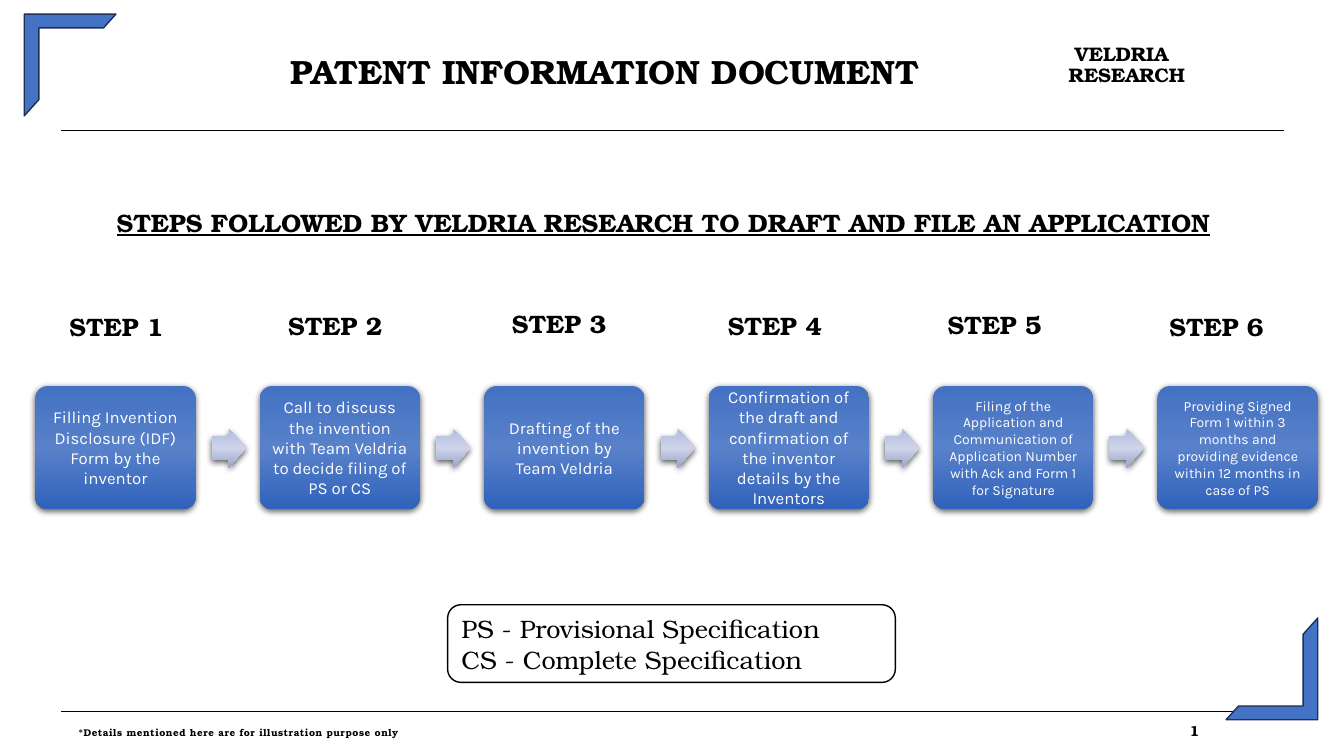
from dataclasses import dataclass

from lxml import etree
from pptx import Presentation
from pptx.dml.color import RGBColor
from pptx.enum.shapes import MSO_CONNECTOR, MSO_SHAPE as SHAPE
from pptx.enum.text import MSO_ANCHOR as ANCHOR, PP_ALIGN as ALIGN
from pptx.oxml import parse_xml
from pptx.oxml.ns import nsdecls, qn
from pptx.util import Inches, Pt

BLACK = RGBColor(0x00, 0x00, 0x00)
WHITE = RGBColor(0xFF, 0xFF, 0xFF)
BLUE = RGBColor(0x44, 0x72, 0xC4)
NAVY = RGBColor(0x1D, 0x31, 0x55)
BOX_STOPS = (RGBColor(0x44, 0x71, 0xC2), RGBColor(0x58, 0x81, 0xCA), RGBColor(0x30, 0x62, 0xBB))
ARROW_STOPS = (RGBColor(0xB1, 0xBB, 0xDB), RGBColor(0xCD, 0xD4, 0xEA), RGBColor(0x98, 0xA4, 0xCB))
SERIF, SANS = "TeX Gyre Bonum", "Karla"

FIRST_LEFT, LAST_LEFT = 0.35, 11.48
BOX_TOP, BOX_W, BOX_H = 3.83, 1.59, 1.22
ARROW_OFFSET, ARROW_TOP, ARROW_W, ARROW_H = 1.75, 4.25, 0.34, 0.39


@dataclass
class Step:
    text: str
    label_left: float
    label_top: float
    size: float = 12
    inset: float = 0.08


STEPS = [
    Step("Filling Invention Disclosure (IDF) Form by the inventor", 0.59, 3.04),
    Step("Call to discuss the invention with Team Veldria to decide filing of PS or CS", 2.76, 3.03),
    Step("Drafting of the invention by Team Veldria", 4.98, 3.01),
    Step("Confirmation of the draft and confirmation of the inventor details by the Inventors", 7.12, 3.03),
    Step("Filing of the Application and Communication of Application Number with Ack and Form 1 "
         "for Signature", 9.3, 3.02, 10, 0.07),
    Step("Providing Signed Form 1 within 3 months and providing evidence within 12 months in case of PS",
         11.5, 3.04, 10, 0.07),
]


def add_run(p, text: str, size: float, font: str = SERIF, color: RGBColor = BLACK, bold: bool = True):
    r = p.add_run()
    r.text = text
    r.font.size, r.font.name, r.font.bold = Pt(size), font, bold
    r.font.color.rgb = color
    return r


def set_frame(shape, x_inset: float = 0, y_inset: float = 0, anchor: ANCHOR = ANCHOR.TOP):
    tf = shape.text_frame
    tf.word_wrap = True
    tf.margin_left = tf.margin_right = Inches(x_inset)
    tf.margin_top = tf.margin_bottom = Inches(y_inset)
    tf.vertical_anchor = anchor
    return tf


def add_text(s, left: float, top: float, width: float, height: float,
             x_inset: float = 0.1, y_inset: float = 0.05):
    sp = s.shapes.add_textbox(Inches(left), Inches(top), Inches(width), Inches(height))
    return set_frame(sp, x_inset, y_inset)


def add_shape(s, kind: SHAPE, left: float, top: float, width: float, height: float,
              adjustments: tuple[float, ...]):
    sp = s.shapes.add_shape(kind, Inches(left), Inches(top), Inches(width), Inches(height))
    sp.shadow.inherit = False
    for i, value in enumerate(adjustments):
        sp.adjustments[i] = value
    return sp


def paint(sp, fill: RGBColor, line: RGBColor) -> None:
    sp.fill.solid()
    sp.fill.fore_color.rgb = fill
    sp.line.color.rgb = line
    sp.line.width = Pt(1)


def paint_raised(sp, colors: tuple[RGBColor, ...]) -> None:
    """Three-stop vertical gradient with a soft shadow and no outline."""
    sp.line.fill.background()
    sp_pr = sp.element.spPr
    stops = "".join(f'<a:gs pos="{i * 50000}"><a:srgbClr val="{c}"/></a:gs>' for i, c in enumerate(colors))
    sp_pr.find(qn("a:ln")).addprevious(parse_xml(
        f'<a:gradFill {nsdecls("a")} rotWithShape="1"><a:gsLst>{stops}</a:gsLst>'
        '<a:lin ang="5400000" scaled="0"/></a:gradFill>'))
    sp_pr.find(qn("a:effectLst")).append(parse_xml(
        f'<a:outerShdw {nsdecls("a")} blurRad="{Pt(4.5)}" dist="{Pt(1.5)}" dir="5400000" '
        'algn="ctr" rotWithShape="0"><a:srgbClr val="000000"><a:alpha val="63000"/></a:srgbClr>'
        '</a:outerShdw>'))


def add_rule(s, top: float) -> None:
    line = s.shapes.add_connector(MSO_CONNECTOR.STRAIGHT, Inches(0.61), Inches(top),
                                  Inches(12.73), Inches(top))
    line.line.color.rgb = BLACK
    line.line.width = Pt(0.48)
    etree.SubElement(line.element.spPr, qn("a:effectLst"))


def add_step(s, number: int, step: Step, left: float) -> None:
    box = add_shape(s, SHAPE.ROUNDED_RECTANGLE, left, BOX_TOP, BOX_W, BOX_H, (0.1,))
    paint_raised(box, BOX_STOPS)
    p = set_frame(box, step.inset, 0.05, ANCHOR.MIDDLE).paragraphs[0]
    p.alignment = ALIGN.CENTER
    add_run(p, step.text, step.size, SANS, WHITE, False)
    if number < len(STEPS):
        arrow = add_shape(s, SHAPE.RIGHT_ARROW, left + ARROW_OFFSET, ARROW_TOP, ARROW_W, ARROW_H, (0.6, 0.5))
        paint_raised(arrow, ARROW_STOPS)
    tf = add_text(s, step.label_left, step.label_top, 1.3, 0.4)
    add_run(tf.paragraphs[0], f"STEP {number}", 18)


def main() -> None:
    prs = Presentation()
    prs.slide_width, prs.slide_height = Inches(13.33), Inches(7.5)
    s = prs.slides.add_slide(prs.slide_layouts[5])

    # Header
    title = s.shapes.title
    title.left, title.top, title.width, title.height = Inches(1.5), Inches(0.53), Inches(9), Inches(0.35)
    p = set_frame(title, anchor=ANCHOR.MIDDLE).paragraphs[0]
    p.alignment = ALIGN.CENTER
    add_run(p, "PATENT INFORMATION DOCUMENT", 24)

    p = add_text(s, 10.6, 0.45, 1.2, 0.43, 0, 0).paragraphs[0]
    p.line_spacing = 0.87
    p._p.get_or_add_pPr().set("indent", str(Inches(0.06)))
    add_run(p, "VELDRIA RESEARCH", 14)

    for top in (1.29, 7.06):
        add_rule(s, top)

    # Subtitle
    p = add_text(s, 1.06, 2.01, 11.2, 0.4).paragraphs[0]
    r = add_run(p, "STEPS FOLLOWED BY VELDRIA RESEARCH TO DRAFT AND FILE AN APPLICATION", 18)
    r.font.underline = True

    # Process steps
    pitch = (LAST_LEFT - FIRST_LEFT) / (len(STEPS) - 1)
    for i, step in enumerate(STEPS):
        add_step(s, i + 1, step, FIRST_LEFT + i * pitch)

    # Abbreviations
    key = add_shape(s, SHAPE.ROUNDED_RECTANGLE, 4.44, 6, 4.44, 0.77, (0.17,))
    paint(key, WHITE, BLACK)
    tf = set_frame(key, 0.1, 0.05)
    for i, text in enumerate(("PS - Provisional Specification", "CS - Complete Specification")):
        p = tf.add_paragraph() if i else tf.paragraphs[0]
        p.alignment = ALIGN.LEFT
        add_run(p, text, 18, bold=False)

    # Corner frames
    for left, top, rotation in ((0.24, 0.14, 0), (12.16, 6.13, 180)):
        corner = add_shape(s, SHAPE.HALF_FRAME, left, top, 0.91, 1.01, (0.15, 0.16))
        corner.rotation = rotation
        paint(corner, BLUE, NAVY)

    # Footer
    p = add_text(s, 0.78, 7.19, 11.92, 0.22, 0, 0).paragraphs[0]
    p._p.get_or_add_pPr().append(parse_xml(
        f'<a:tabLst {nsdecls("a")}><a:tab pos="{Inches(11.02)}" algn="l"/></a:tabLst>'))
    p.line_spacing = 0.84
    r = add_run(p, "*Details mentioned here are for illustration purpose only\t", 7)
    r.font._element.set("spc", "40")
    add_run(p, "1", 10.5)

    prs.save("out.pptx")


if __name__ == "__main__":
    main()
